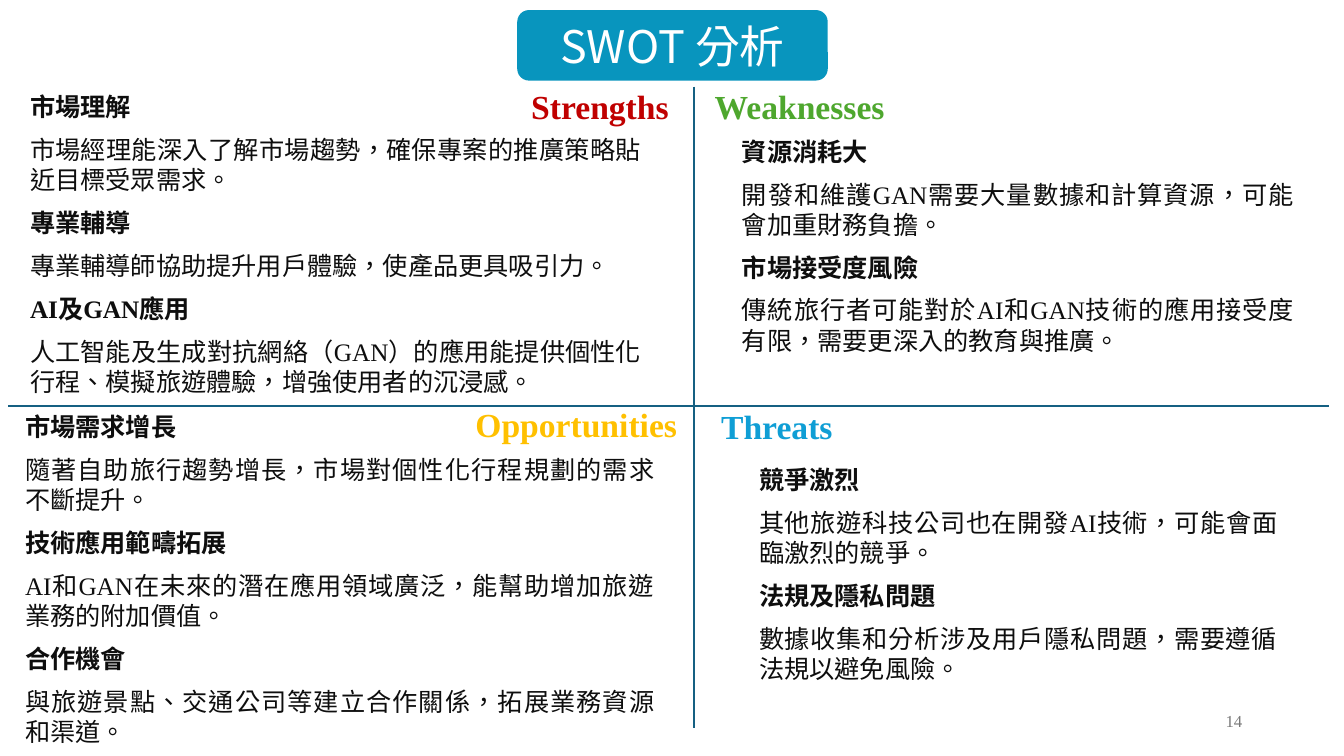
"""Build a SWOT analysis slide with four quadrants around a cross."""
from lxml.etree import SubElement
from pptx import Presentation
from pptx.dml.color import RGBColor
from pptx.enum.shapes import MSO_CONNECTOR, MSO_SHAPE
from pptx.enum.text import MSO_ANCHOR, MSO_AUTO_SIZE, PP_ALIGN
from pptx.oxml.ns import qn
from pptx.util import Pt

PX = 9144
SERIF = "Times New Roman"
SANS = "Noto Sans CJK SC"
INK = RGBColor(0x0E, 0x0E, 0x0E)
GREY = RGBColor(0x79, 0x79, 0x79)
WHITE = RGBColor(0xFF, 0xFF, 0xFF)
TEAL = RGBColor(0x08, 0x95, 0xBE)
NAVY = RGBColor(0x15, 0x60, 0x82)
RED = RGBColor(0xC0, 0x00, 0x00)
GREEN = RGBColor(0x4E, 0xA7, 0x2E)
GOLD = RGBColor(0xFF, 0xC0, 0x00)
BLUE = RGBColor(0x0F, 0x9E, 0xD5)
BADGE = (513, 10, 308, 70)

HEADS = [
    ("Strengths", RED, (517, 80, 158, 50), PP_ALIGN.LEFT, False),
    ("Weaknesses", GREEN, (699, 80, 190, 50), PP_ALIGN.LEFT, False),
    ("Opportunities", GOLD, (457, 396, 229, 50), PP_ALIGN.CENTER, True),
    ("Threats", BLUE, (701, 398, 139, 50), PP_ALIGN.CENTER, True),
]
BLOCKS = [
    ((20, 86, 626, 316), [
        ("市場理解", "市場經理能深入了解市場趨勢，確保專案的推廣策略貼近目標受眾需求。"),
        ("專業輔導", "專業輔導師協助提升用戶體驗，使產品更具吸引力。"),
        ("AI及GAN應用", "人工智能及生成對抗網絡（GAN）的應用能提供個性化行程、模擬旅遊體驗，增強使用者的沉浸感。"),
    ]),
    ((726, 130, 567, 230), [
        ("資源消耗大", "開發和維護GAN需要大量數據和計算資源，可能會加重財務負擔。"),
        ("市場接受度風險", "傳統旅行者可能對於AI和GAN技術的應用接受度有限，需要更深入的教育與推廣。"),
    ]),
    ((15, 403, 644, 346), [
        ("市場需求增長", "隨著自助旅行趨勢增長，市場對個性化行程規劃的需求不斷提升。"),
        ("技術應用範疇拓展", "AI和GAN在未來的潛在應用領域廣泛，能幫助增加旅遊業務的附加價值。"),
        ("合作機會", "與旅遊景點、交通公司等建立合作關係，拓展業務資源和渠道。"),
    ]),
    ((743, 456, 534, 230), [
        ("競爭激烈", "其他旅遊科技公司也在開發AI技術，可能會面臨激烈的競爭。"),
        ("法規及隱私問題", "數據收集和分析涉及用戶隱私問題，需要遵循法規以避免風險。"),
    ]),
]


def scale(spot):
    """Turn px lengths into EMU."""
    return [n * PX for n in spot]


def add_run(para, text, size, color, bold=False, face=SERIF):
    """Add one styled run of Chinese or Latin text."""
    run = para.add_run()
    run.text = text
    font = run.font
    font.size, font.bold, font.name = Pt(size), bold, face
    font.color.rgb = color
    props = run._r.get_or_add_rPr()
    props.set("lang", "zh-TW")
    SubElement(props, qn("a:ea")).set("typeface", SANS)


def add_box(slide, spot, wrap=True, fit=MSO_AUTO_SIZE.SHAPE_TO_FIT_TEXT):
    """Add an empty text box and return its frame."""
    frame = slide.shapes.add_textbox(*scale(spot)).text_frame
    frame.word_wrap, frame.auto_size = wrap, fit
    return frame


def add_label(slide, text, color, spot, align, wrap):
    """Add the heading of a quadrant."""
    para = add_box(slide, spot, wrap).paragraphs[0]
    para.alignment = align
    add_run(para, text, 24, color, True)


def add_block(slide, spot, points):
    """Add bold points, each followed by its detail."""
    frame = add_box(slide, spot)
    lines = [(text, text is point[0]) for point in points for text in point]
    for rank, (text, bold) in enumerate(lines):
        para = frame.add_paragraph() if rank else frame.paragraphs[0]
        para.alignment, para.space_before = PP_ALIGN.JUSTIFY, Pt(9)
        add_run(para, text, 18, INK, bold)


def add_rule(slide, ends):
    """Add one straight line of the cross."""
    rule = slide.shapes.add_connector(MSO_CONNECTOR.STRAIGHT, *scale(ends))
    rule.line.color.rgb, rule.line.width = NAVY, Pt(1.5)
    SubElement(rule._element.spPr, qn("a:effectLst"))


def add_title(slide):
    """Set the title on a rounded badge."""
    badge = slide.shapes.add_shape(MSO_SHAPE.ROUNDED_RECTANGLE, *scale(BADGE))
    badge.shadow.inherit = False
    badge.fill.solid()
    badge.fill.fore_color.rgb = TEAL
    badge.line.fill.background()
    title = slide.shapes.title
    title.left, title.top, title.width, title.height = scale(BADGE)
    frame = title.text_frame
    frame.vertical_anchor, frame.auto_size = MSO_ANCHOR.MIDDLE, MSO_AUTO_SIZE.NONE
    para = frame.paragraphs[0]
    para.alignment = PP_ALIGN.CENTER
    add_run(para, "SWOT 分析", 32, WHITE, face=SANS)
    badge._element.addnext(title._element)


def add_number(slide):
    """Add the page number."""
    frame = add_box(slide, (942, 695, 300, 40), fit=MSO_AUTO_SIZE.NONE)
    frame.vertical_anchor = MSO_ANCHOR.MIDDLE
    para = frame.paragraphs[0]
    para.alignment = PP_ALIGN.RIGHT
    add_run(para, "14", 12, GREY)


def main():
    """Build and save the slide."""
    deck = Presentation()
    deck.slide_width, deck.slide_height = scale((1333, 750))
    slide = deck.slides.add_slide(deck.slide_layouts[5])
    for spot, points in BLOCKS:
        add_block(slide, spot, points)
    for ends in [(8, 403, 1318, 403), (688, 86, 688, 722)]:
        add_rule(slide, ends)
    for head in HEADS:
        add_label(slide, *head)
    add_number(slide)
    add_title(slide)
    deck.save("out.pptx")


if __name__ == "__main__":
    main()
